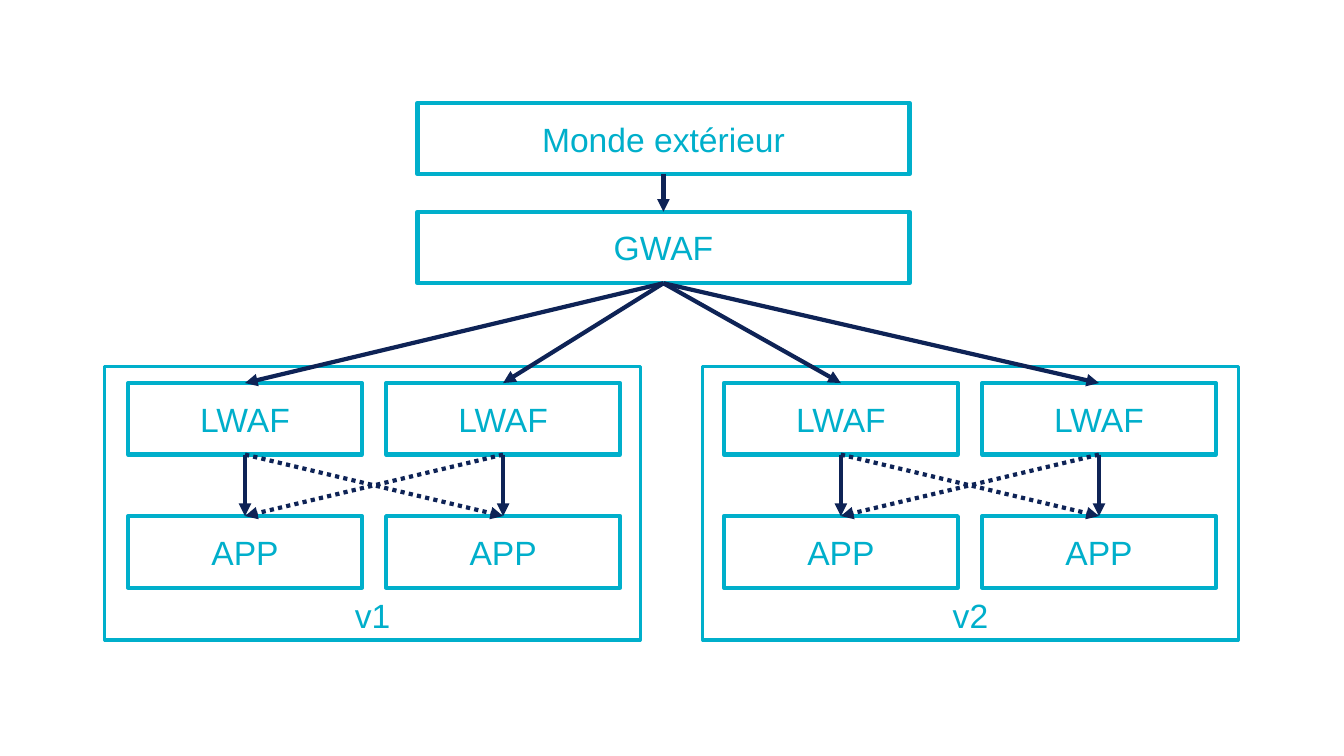
import pptx
import pptx.util
import pptx.dml.color
import pptx.enum.dml
import pptx.enum.shapes
import pptx.enum.text
import pptx.oxml.ns
from lxml import etree

PX = 9144  # EMU per px, 100 px to the inch
CYAN = pptx.dml.color.RGBColor(0x00, 0xAF, 0xCB)
NAVY = pptx.dml.color.RGBColor(0x0E, 0x23, 0x56)
MIDDLE = pptx.enum.text.MSO_ANCHOR.MIDDLE
BOTTOM = pptx.enum.text.MSO_ANCHOR.BOTTOM
TOP_SITE, BOTTOM_SITE = 0, 2
BOX_HEIGHT = 71

deck = pptx.Presentation()
deck.slide_width = 1333 * PX
deck.slide_height = 750 * PX
page = deck.slides.add_slide(deck.slide_layouts[6])


def add_box(parent, text, left, top, width, height, line_width=3, anchor=MIDDLE):
    box = parent.shapes.add_shape(
        pptx.enum.shapes.MSO_SHAPE.RECTANGLE,
        left * PX, top * PX, width * PX, height * PX)
    box.shadow.inherit = False
    box.fill.background()
    box.line.color.rgb = CYAN
    box.line.width = pptx.util.Pt(line_width)
    box.text_frame.word_wrap = True
    box.text_frame.vertical_anchor = anchor
    para = box.text_frame.paragraphs[0]
    para.alignment = pptx.enum.text.PP_ALIGN.CENTER
    para.space_before = pptx.util.Pt(3.8)
    span = para.add_run()
    span.text = text
    span.font.name = "Arial"
    span.font.size = pptx.util.Pt(24)
    span.font.color.rgb = CYAN
    return box


def add_arrow(source, target, dotted=False):
    arrow = page.shapes.add_connector(
        pptx.enum.shapes.MSO_CONNECTOR.STRAIGHT, 0, 0, 0, 0)
    arrow.begin_connect(source, BOTTOM_SITE)
    arrow.end_connect(target, TOP_SITE)
    arrow.line.color.rgb = NAVY
    arrow.line.width = pptx.util.Pt(3)
    if dotted:
        arrow.line.dash_style = pptx.enum.dml.MSO_LINE.ROUND_DOT
    properties = arrow.element.spPr
    outline = properties.find(pptx.oxml.ns.qn("a:ln"))
    etree.SubElement(outline, pptx.oxml.ns.qn("a:tailEnd"), type="triangle")
    etree.SubElement(properties, pptx.oxml.ns.qn("a:effectLst"))


# Version frames
for version, frame_left in (("v1", 104), ("v2", 697)):
    add_box(page, version, frame_left, 364, 531, 271, 2.25, BOTTOM)

# Outside world and global firewall
world = add_box(page, "Monde extérieur", 414, 102, 488, BOX_HEIGHT)
gateway = add_box(page, "GWAF", 414, 210, 488, BOX_HEIGHT)
add_arrow(world, gateway)

# Local firewalls over their applications, one group per version
clusters = []
for cluster_left in (127, 718):
    group = page.shapes.add_group_shape()
    clusters.append([
        [add_box(group, name, cluster_left + column * 256, top, 232, BOX_HEIGHT)
         for column in range(2)]
        for name, top in (("LWAF", 380), ("APP", 512))])

# Traffic: solid to the own application, dotted to the neighbour
for firewalls, applications in clusters:
    for row, firewall in enumerate(firewalls):
        add_arrow(gateway, firewall)
        for column, application in enumerate(applications):
            add_arrow(firewall, application, dotted=row != column)

deck.save("out.pptx")
